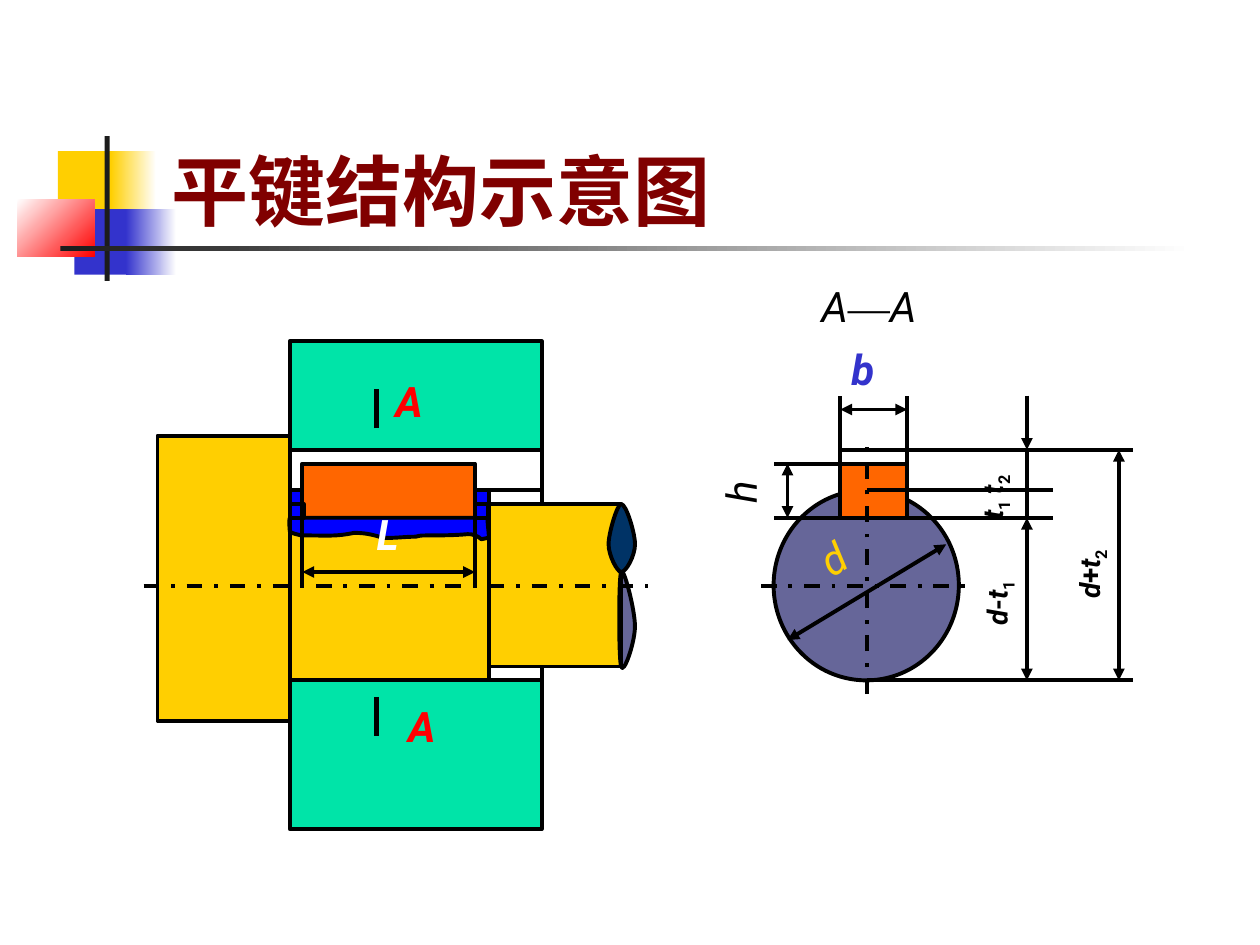
from dataclasses import dataclass
from itertools import chain

from lxml.etree import SubElement
from pptx import Presentation
from pptx.dml.color import RGBColor
from pptx.enum.dml import MSO_LINE
from pptx.enum.shapes import MSO_CONNECTOR, MSO_SHAPE
from pptx.enum.text import MSO_ANCHOR, MSO_AUTO_SIZE
from pptx.oxml.ns import qn
from pptx.util import Pt

EMU_PER_PX = 9144


@dataclass(frozen=True)
class Theme:
    black: str = "000000"
    white: str = "FFFFFF"
    ink: str = "1C1C1C"
    yellow: str = "FFCF01"
    blue: str = "3333CC"
    red: str = "FF0000"
    maroon: str = "800000"
    hub: str = "00E4A8"
    keyway: str = "0000FF"
    key: str = "FF6600"
    shaft: str = "666699"
    shaft_end: str = "003366"
    font: str = "Roboto"
    dash_font: str = "Times New Roman"
    title_size: int = 44
    label_size: int = 24
    dimension_size: int = 16
    outline: float = 2.25
    section_mark: float = 3


THEME = Theme()


@dataclass(frozen=True)
class Box:
    left: int
    top: int
    width: int
    height: int
    fill: str
    fade: str | None = None
    angle: int = 0
    outlined: bool = True
    preset: MSO_SHAPE = MSO_SHAPE.RECTANGLE


@dataclass(frozen=True)
class Line:
    x1: int
    y1: int
    x2: int
    y2: int
    head: bool = False
    tail: bool = False
    dash: MSO_LINE | None = None
    weight: float = THEME.outline


@dataclass(frozen=True)
class Curve:
    fill: str | None
    start: tuple[int, int]
    segments: tuple[tuple[tuple[int, int], ...], ...]


@dataclass(frozen=True)
class Run:
    text: str
    italic: bool = True
    subscript: bool = False
    font: str = THEME.font


@dataclass(frozen=True)
class Label:
    left: int
    top: int
    width: int
    height: int
    runs: tuple[Run, ...]
    color: str = THEME.black
    bold: bool = True
    rotation: float = 0
    size: int = THEME.label_size
    anchor: MSO_ANCHOR = MSO_ANCHOR.TOP
    fit: MSO_AUTO_SIZE = MSO_AUTO_SIZE.SHAPE_TO_FIT_TEXT


def px(*lengths: int) -> list[int]:
    return [length * EMU_PER_PX for length in lengths]


def apply(target, formats: dict) -> None:
    for name, value in formats.items():
        setattr(target, name, value)


def rgb(color: str) -> RGBColor:
    return RGBColor.from_string(color)


def paint(shape, fill: str | None, outlined: bool = True) -> None:
    shape.shadow.inherit = False
    if fill:
        shape.fill.solid()
        shape.fill.fore_color.rgb = rgb(fill)
    else:
        shape.fill.background()
    if outlined:
        shape.line.color.rgb = rgb(THEME.black)
        shape.line.width = Pt(THEME.outline)
    else:
        shape.line.fill.background()


def draw_box(shapes, box: Box) -> None:
    shape = shapes.add_shape(box.preset, *px(box.left, box.top, box.width, box.height))
    paint(shape, box.fill, box.outlined)
    if box.fade:
        shape.fill.gradient()
        shape.fill.gradient_angle = box.angle
        for stop, color in zip(shape.fill.gradient_stops, (box.fill, box.fade)):
            stop.color.rgb = rgb(color)


def draw_line(shapes, line: Line) -> None:
    connector = shapes.add_connector(
        MSO_CONNECTOR.STRAIGHT, *px(line.x1, line.y1, line.x2, line.y2))
    connector.line.color.rgb = rgb(THEME.black)
    apply(connector.line, {"width": Pt(line.weight), "dash_style": line.dash})
    properties = connector.line._get_or_add_ln()
    for tag, shown in (("a:headEnd", line.head), ("a:tailEnd", line.tail)):
        if shown:
            SubElement(properties, qn(tag), type="triangle")
    SubElement(properties.getparent(), qn("a:effectLst"))


def draw_curve(shapes, curve: Curve) -> None:
    builder = shapes.build_freeform(*curve.start, scale=EMU_PER_PX)
    builder.add_line_segments(list(chain(*curve.segments)), close=curve.fill is not None)
    shape = builder.convert_to_shape()
    paint(shape, curve.fill)
    steps = iter(list(shape._element.iter(qn("a:lnTo"))))
    for segment in curve.segments:
        first, *others = [next(steps) for _ in segment]
        if others:
            first.tag = qn("a:cubicBezTo")
        for other in others:
            first.append(other[0])
            other.getparent().remove(other)


def draw_label(shapes, label: Label) -> None:
    textbox = shapes.add_textbox(*px(label.left, label.top, label.width, label.height))
    textbox.rotation = label.rotation
    apply(textbox.text_frame, {"word_wrap": True, "auto_size": label.fit,
                               "vertical_anchor": label.anchor})
    for part in label.runs:
        run = textbox.text_frame.paragraphs[0].add_run()
        run.text = part.text
        apply(run.font, {"name": part.font, "size": Pt(label.size),
                         "bold": label.bold, "italic": part.italic})
        run.font.color.rgb = rgb(label.color)
        if part.subscript:
            run._r.get_or_add_rPr().set("baseline", "-25000")


def dimension(x1: int, y1: int, x2: int, y2: int) -> Line:
    return Line(x1, y1, x2, y2, head=True, tail=True)


def center_line(x1: int, y1: int, x2: int, y2: int) -> Line:
    return Line(x1, y1, x2, y2, dash=MSO_LINE.DASH_DOT)


def upright(left: int, top: int, width: int, *runs: Run) -> Label:
    return Label(left, top, width, 41, runs, rotation=270, size=THEME.dimension_size)


def sub(digit: str) -> Run:
    return Run(digit, italic=False, subscript=True)


HEADER = (
    Box(46, 120, 48, 52, THEME.yellow, outlined=False),
    Box(88, 120, 36, 52, THEME.yellow, THEME.white, outlined=False),
    Box(59, 166, 46, 52, THEME.blue, outlined=False),
    Box(100, 166, 40, 52, THEME.blue, THEME.white, outlined=False),
    Box(14, 158, 61, 46, THEME.white, THEME.red, 315, outlined=False),
    Box(83, 108, 4, 115, THEME.ink, outlined=False),
    Box(48, 195, 900, 4, THEME.ink, THEME.white, outlined=False),
    Label(126, 67, 852, 125, (Run("平键结构示意图", italic=False),), THEME.maroon,
          size=THEME.title_size, anchor=MSO_ANCHOR.BOTTOM, fit=MSO_AUTO_SIZE.NONE),
)
SIDE_VIEW = (
    Box(125, 346, 105, 226, THEME.yellow), Box(230, 389, 158, 151, THEME.yellow),
    Box(388, 400, 105, 129, THEME.yellow), Box(230, 357, 200, 32, THEME.white),
    Box(230, 271, 200, 86, THEME.hub), Box(230, 540, 200, 118, THEME.hub),
    Box(230, 389, 11, 11, THEME.keyway), Box(367, 389, 21, 11, THEME.keyway),
    Line(230, 389, 230, 422), Line(388, 389, 388, 422),
    Box(240, 368, 137, 43, THEME.key),
    Line(430, 368, 430, 400), Line(430, 551, 430, 529),
    Curve(THEME.keyway, (230, 422), (
        ((233, 424), (236, 424), (239, 425)), ((261, 425), (266, 426), (281, 423)),
        ((289, 423), (294, 424), (301, 426)), ((302, 427), (305, 427), (307, 427)),
        ((315, 427), (322, 426), (330, 426)), ((333, 425), (336, 425), (339, 425)),
        ((350, 425), (360, 425), (371, 424)), ((373, 424), (375, 424), (377, 425)),
        ((379, 425), (380, 427), (382, 428)), ((384, 428), (385, 428), (387, 427)),
        ((387, 426), (387, 427), (388, 426)), ((387, 413), (387, 418), (387, 411)),
        ((230, 411),), ((229, 414), (230, 419), (230, 422)))),
    Box(230, 400, 11, 11, THEME.keyway), Box(377, 400, 10, 11, THEME.keyway),
    *(Line(x, 400, x, bottom) for x, bottom in ((230, 422), (240, 411), (377, 411), (388, 422))),
    Curve(THEME.shaft_end, (493, 400), (
        ((497, 400), (504, 423), (504, 432)), ((504, 441), (497, 454), (493, 454)),
        ((490, 454), (483, 441), (483, 432)), ((483, 423), (490, 400), (493, 400)))),
    Curve(THEME.shaft, (493, 454), (
        ((491, 459), (491, 522), (493, 529)), ((495, 536), (504, 510), (504, 497)),
        ((504, 484), (495, 449), (493, 454)))),
    Curve(None, (493, 454), (((493, 485), (493, 517), (493, 529)),)),
    Line(493, 454, 493, 519),
)
SECTION_VIEW = (
    Box(614, 389, 147, 151, THEME.shaft, preset=MSO_SHAPE.OVAL),
    Box(667, 368, 53, 43, THEME.key), center_line(604, 465, 772, 465),
    Box(667, 357, 53, 11, THEME.white),
)
DIMENSIONS = (
    Line(240, 400, 240, 465), Line(377, 389, 377, 465), dimension(240, 454, 377, 454),
    dimension(751, 432, 625, 508),
    Line(688, 540, 899, 540), Line(688, 389, 836, 389), Line(720, 411, 836, 411),
    Line(720, 357, 899, 357), Line(688, 411, 614, 411), Line(667, 368, 614, 368),
    Line(667, 357, 667, 314), Line(720, 357, 720, 314),
    Line(815, 314, 815, 357, tail=True), Line(815, 357, 815, 411),
    dimension(815, 411, 815, 540), dimension(625, 368, 625, 411),
    dimension(667, 325, 720, 325), dimension(888, 357, 888, 540),
)
ANNOTATIONS = (
    Label(666, 268, 63, 50, (Run("b"),), THEME.blue),
    upright(750, 443, 86, Run("d"), Run("-", italic=False), Run("t"), sub("1")),
    upright(734, 346, 111, Run("t"), sub("1"), Run(" t"), sub("2")),
    upright(818, 416, 97, Run("d"), Run("+", italic=False), Run("t"), sub("2")),
    Label(555, 352, 65, 50, (Run("h"),), bold=False, rotation=270),
    Label(640, 411, 63, 50, (Run("d"),), THEME.yellow, bold=False, rotation=327.7),
    center_line(114, 465, 514, 465),
    Label(289, 399, 63, 50, (Run("L"),), THEME.white),
    Label(304, 293, 85, 50, (Run("A"),), THEME.red),
    Label(314, 551, 84, 50, (Run("A"),), THEME.red),
    Label(642, 218, 125, 50, (Run("A"), Run("—", False, font=THEME.dash_font), Run("A")),
          bold=False),
    center_line(688, 551, 688, 346),
    Line(299, 553, 299, 584, weight=THEME.section_mark),
    Line(299, 340, 299, 309, weight=THEME.section_mark),
)
DRAWERS = {Box: draw_box, Line: draw_line, Curve: draw_curve, Label: draw_label}


def main() -> None:
    deck = Presentation()
    deck.slide_width, deck.slide_height = px(1000, 750)
    slide = deck.slides.add_slide(deck.slide_layouts[6])
    for part in chain(HEADER, SIDE_VIEW, SECTION_VIEW, DIMENSIONS, ANNOTATIONS):
        DRAWERS[type(part)](slide.shapes, part)
    deck.save("out.pptx")


if __name__ == "__main__":
    main()
